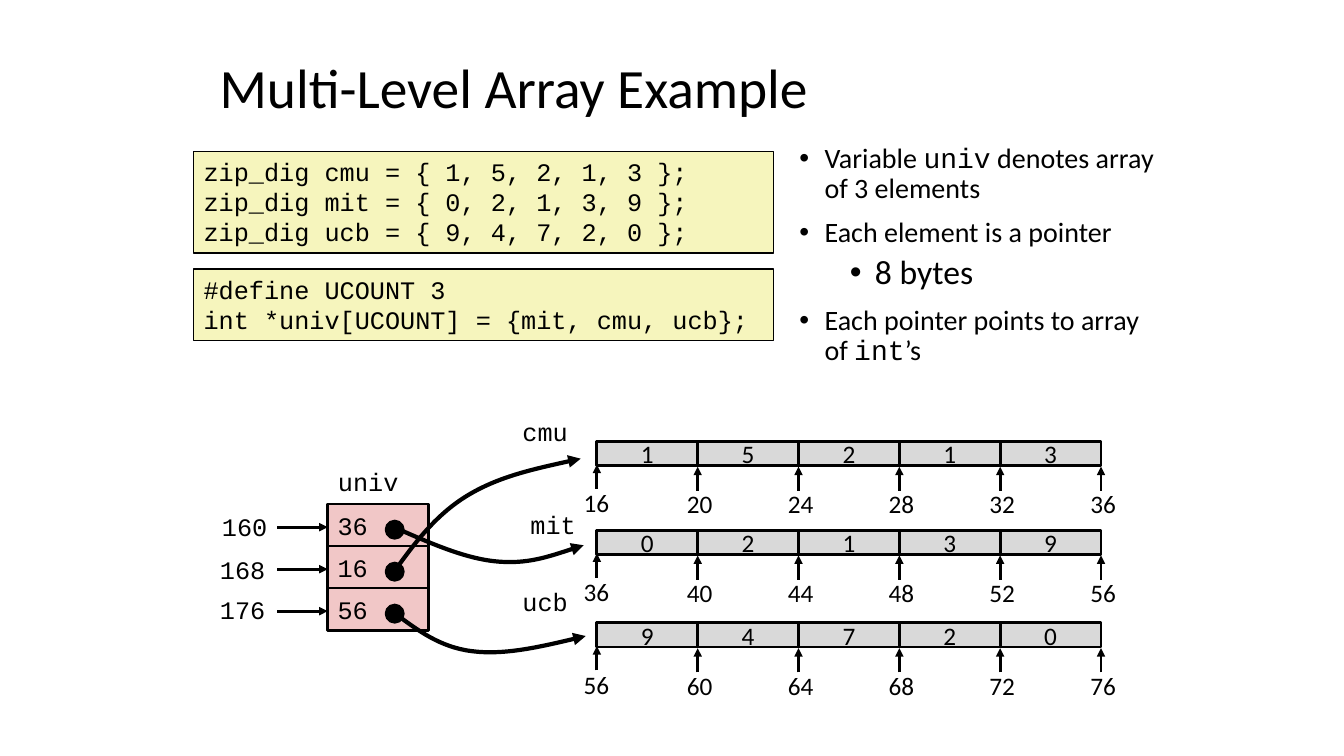
from dataclasses import dataclass
from typing import Any

from lxml.etree import SubElement as Sub
from pptx import Presentation as Deck
from pptx.dml.color import RGBColor as Rgb
from pptx.enum.shapes import MSO_CONNECTOR as Link, MSO_SHAPE as Form
from pptx.enum.text import MSO_ANCHOR as Anchor, PP_ALIGN as Align
from pptx.oxml.ns import qn
from pptx.util import Inches, Pt

INK = {"text": "000000", "code": "F6F5BD", "slot": "F1C7C7", "cell": "D9D9D9"}
SANS, MONO = "Calibri", "Courier New"
LEFT, WIDE, TALL = 5.92, 1, 0.24
Point = tuple[float, float]
Box = tuple[float, float, float, float]


@dataclass
class Row:
    name: str
    tag: Point
    top: float
    start: int
    digits: str


@dataclass
class Slot:
    value: str
    tag: Point
    curve: list[Point]


@dataclass
class Item:
    bits: list[tuple[str, str]]
    size: int = 20
    level: int = 0


ROWS = [
    Row("cmu", (5.08, 4.08), 4.38, 16, "15213"),
    Row("mit", (5.16, 5), 5.26, 36, "02139"),
    Row("ucb", (5.08, 5.77), 6.18, 56, "94720"),
]
SLOTS = [
    Slot("36", (2.1, 5.02), [(3.93, 5.24), (4.27, 5.39), (4.61, 5.54), (4.92, 5.57),
                             (5.23, 5.6), (5.51, 5.5), (5.79, 5.41)]),
    Slot("16", (2.08, 5.45), [(3.91, 5.67), (4.11, 5.39), (4.32, 5.11), (4.63, 4.92),
                              (4.94, 4.73), (5.35, 4.64), (5.76, 4.55)]),
    Slot("56", (2.08, 5.85), [(3.91, 6.08), (4.14, 6.25), (4.36, 6.42), (4.68, 6.46),
                              (4.99, 6.5), (5.4, 6.41), (5.81, 6.31)]),
]
ITEMS = [
    Item([("Variable ", SANS), ("univ", MONO), (" denotes array of 3 elements", SANS)]),
    Item([("Each element is a pointer", SANS)]),
    Item([("8 bytes", SANS)], 24, 1),
    Item([("Each pointer points to array of ", SANS), ("int", MONO), ("’s", SANS)]),
]
CODE = [
    ((1.92, 1.5, 5.75, 1.01), "zip_dig cmu = { 1, 5, 2, 1, 3 };\n"
     "zip_dig mit = { 0, 2, 1, 3, 9 };\nzip_dig ucb = { 9, 4, 7, 2, 0 };"),
    ((1.92, 2.67, 5.75, 0.71), "#define UCOUNT 3\nint *univ[UCOUNT] = {mit, cmu, ucb};"),
]


def style(run: Any, size: float, face: str) -> None:
    run.font.size = Pt(size)
    run.font.name = face
    run.font.color.rgb = Rgb.from_string(INK["text"])


def fill_text(shape: Any, text: str, face: str, align: Align = Align.LEFT,
              anchor: Anchor = Anchor.TOP, size: float = 18, wrap: bool = True) -> None:
    frame = shape.text_frame
    frame.text = text
    frame.word_wrap = wrap
    frame.vertical_anchor = anchor
    for para in frame.paragraphs:
        para.alignment = align
        for run in para.runs:
            style(run, size, face)


def add_text(tree: Any, box: Box, text: str, face: str, align: Align = Align.CENTER,
             wrap: bool = True) -> None:
    shape = tree.add_textbox(*map(Inches, box))
    fill_text(shape, text, face, align, wrap=wrap)


def add_tag(tree: Any, spot: Point, text: str, wide: float = 0.65) -> None:
    add_text(tree, (*spot, wide, 0.4), text, MONO, Align.RIGHT, False)


def draw_line(shape: Any, width: float, head: bool = False) -> None:
    shape.line.width = Pt(width)
    shape.line.color.rgb = Rgb.from_string(INK["text"])
    if head:
        Sub(shape.line._get_or_add_ln(), qn("a:tailEnd"), type="triangle")


def add_form(tree: Any, form: Form, box: Box, tint: str, width: float = 2) -> Any:
    shape = tree.add_shape(form, *map(Inches, box))
    shape.shadow.inherit = False
    shape.fill.solid()
    shape.fill.fore_color.rgb = Rgb.from_string(INK[tint])
    draw_line(shape, width)
    return shape


def add_arrow(tree: Any, start: Point, end: Point) -> None:
    arrow = tree.add_connector(Link.STRAIGHT, *map(Inches, start + end))
    draw_line(arrow, 2, True)
    Sub(arrow._element.spPr, qn("a:effectLst"))


def add_curve(tree: Any, spots: list[Point]) -> None:
    pen = tree.build_freeform(*map(Inches, spots[0]))
    pen.add_line_segments([tuple(map(Inches, spot)) for spot in spots[1:]], close=False)
    shape = pen.convert_to_shape()
    shape.shadow.inherit = False
    shape.fill.background()
    draw_line(shape, 3, True)
    steps = list(shape._element.iter(qn("a:lnTo")))
    for first in range(0, len(steps), 3):
        bend = Sub(steps[first].getparent(), qn("a:cubicBezTo"))
        for step in steps[first:first + 3]:
            bend.append(step[0])
            step.getparent().remove(step)


def add_list(tree: Any) -> None:
    frame = tree.add_textbox(*map(Inches, (7.83, 1.38, 3.83, 2.5))).text_frame
    frame.word_wrap = True
    for rank, item in enumerate(ITEMS):
        para = frame.add_paragraph() if rank else frame.paragraphs[0]
        para.level = item.level
        para.line_spacing = 0.9
        para.space_before = Pt(5 if item.level else 10)
        props = para._p.get_or_add_pPr()
        props.set("marL", str(Inches(0.25 + 0.5 * item.level)))
        props.set("indent", str(Inches(-0.25)))
        Sub(props, qn("a:buFont"), typeface="Arial")
        Sub(props, qn("a:buChar"), char="•")
        for text, face in item.bits:
            run = para.add_run()
            run.text = text
            style(run, item.size, face)


def add_slot(tree: Any, rank: int, slot: Slot) -> None:
    top = 5 + rank * 5 / 12
    shape = add_form(tree, Form.RECTANGLE, (3.25, top, 1, 0.42), "slot")
    fill_text(shape, slot.value, MONO, anchor=Anchor.MIDDLE)
    add_arrow(tree, (2.75, top + 0.23), (3.25, top + 0.23))
    add_tag(tree, slot.tag, str(160 + 8 * rank))
    add_form(tree, Form.OVAL, (3.83, top + 0.17, 0.17, 0.17), "text")


def add_row(tree: Any, row: Row) -> None:
    add_tag(tree, row.tag, row.name)
    for rank, digit in enumerate(row.digits):
        box = (LEFT + rank * WIDE, row.top, WIDE, TALL)
        shape = add_form(tree, Form.RECTANGLE, box, "cell")
        fill_text(shape, digit, SANS, Align.CENTER, Anchor.MIDDLE, wrap=False)
    for rank in range(len(row.digits) + 1):
        edge = LEFT + rank * WIDE
        drop = 0.02 if rank else 0
        box = ((edge - 0.52, row.top + 0.42, 1.08, 0.4) if rank
               else (edge - 0.37, row.top + 0.41, 0.73, 0.4))
        add_text(tree, box, str(row.start + 4 * rank), SANS)
        add_arrow(tree, (edge, row.top + 0.47 + drop), (edge, row.top + 0.23 + drop))


def main() -> None:
    deck = Deck()
    deck.slide_width, deck.slide_height = Inches(13.33), Inches(7.5)
    tree = deck.slides.add_slide(deck.slide_layouts[6]).shapes
    title = tree.add_textbox(*map(Inches, (2.08, 0.58, 7.78, 0.63)))
    fill_text(title, "Multi-Level Array Example", SANS, anchor=Anchor.MIDDLE, size=39.6)
    title.text_frame.paragraphs[0].line_spacing = 0.9
    add_list(tree)
    for box, text in CODE:
        fill_text(add_form(tree, Form.RECTANGLE, box, "code", 1), text, MONO)
    for rank, slot in enumerate(SLOTS):
        add_slot(tree, rank, slot)
    add_tag(tree, (3.25, 4.58), "univ", 0.8)
    for row in ROWS:
        add_row(tree, row)
    for slot in SLOTS:
        add_curve(tree, slot.curve)
    deck.save("out.pptx")


if __name__ == "__main__":
    main()
